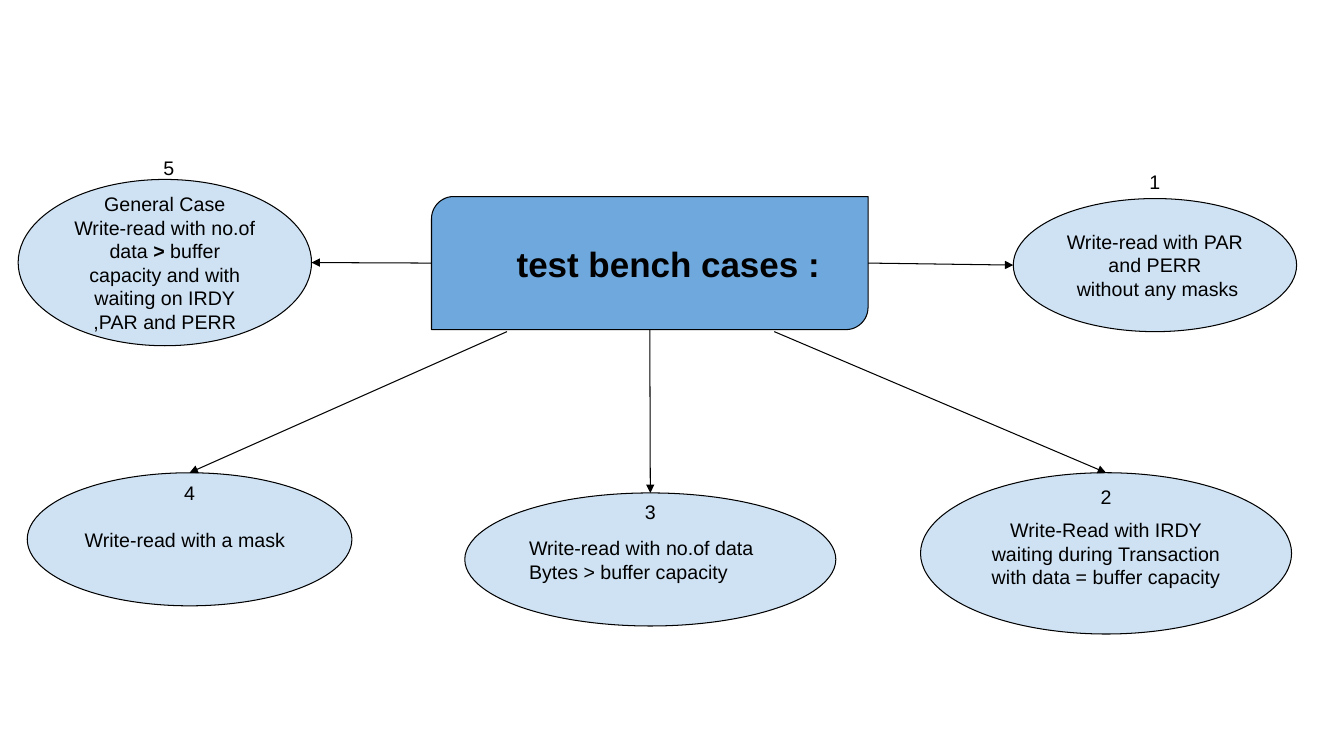
import dataclasses

import pptx
import pptx.dml.color
import pptx.enum.shapes
import pptx.enum.text
import pptx.oxml
import pptx.oxml.ns
import pptx.util

Inches = pptx.util.Inches
Pt = pptx.util.Pt
Shapes = pptx.enum.shapes.MSO_SHAPE
Align = pptx.enum.text.PP_ALIGN

FONT = "Arial"
BLACK = "000000"
HUB_BLUE = "6FA8DC"
CASE_BLUE = "CFE2F3"
LINE_WIDTH = 0.75
CASE_SIZE = 14
HUB_SIZE = 25
NUMBER_WIDTH, NUMBER_HEIGHT = 0.71, 0.34


@dataclasses.dataclass
class Box:
    left: float
    top: float
    width: float
    height: float

    def point(self, across, down):
        """Return the point at the given shares of the width and height."""
        return self.left + across * self.width, self.top + down * self.height

    def lengths(self):
        return [Inches(v) for v in (self.left, self.top, self.width, self.height)]


@dataclasses.dataclass
class Case:
    """Shares for arrow ends are (across, down); number_shift is in inches."""
    number: str
    box: Box
    paragraphs: list
    number_shift: tuple
    hub_end: tuple
    case_end: tuple
    align: int = Align.CENTER


HUB = Box(4.28, 1.95, 4.33, 1.32)
TOP_CENTRE = (0.5, 0)
CASES = [
    Case("1", Box(10.05, 1.97, 2.81, 1.32),
         [[("Write-read with PAR and PERR", False)],
          [(" without any masks", False)]],
         (0, -0.33), (1, 0.5), (0, 0.5)),
    Case("2", Box(9.13, 4.69, 3.68, 1.6),
         [[("Write-Read with IRDY waiting during Transaction "
            "with data = buffer capacity", False)]],
         (0, 0.07), (0.785, 1.015), TOP_CENTRE),
    Case("3", Box(4.61, 4.89, 3.68, 1.32),
         [[("Write-read with no.of data Bytes > buffer capacity", False)]],
         (0, 0.02), (0.5, 1), TOP_CENTRE, Align.LEFT),
    Case("4", Box(0.27, 4.69, 3.22, 1.32),
         [[("Write-read with a mask", False)]],
         (0, 0.03), (0.173, 1.015), TOP_CENTRE, Align.LEFT),
    Case("5", Box(0.18, 1.78, 2.91, 1.65),
         [[("General Case", False)],
          [("Write-read with no.of data ", False), (">", True),
           (" buffer capacity and with waiting on IRDY", False)],
          [(",PAR and PERR", False)]],
         (0.04, -0.28), (0, 0.5), (1, 0.5)),
]


def color(value):
    return pptx.dml.color.RGBColor.from_string(value)


def write(frame, paragraphs, size, align):
    frame.word_wrap = True
    for index, spans in enumerate(paragraphs):
        para = frame.add_paragraph() if index else frame.paragraphs[0]
        para.alignment = align
        for text, bold in spans:
            span = para.add_run()
            span.text = text
            span.font.name = FONT
            span.font.size = Pt(size)
            span.font.bold = bold
            span.font.color.rgb = color(BLACK)


def add_panel(page, kind, box, fill, left_margin=0.1):
    shape = page.shapes.add_shape(kind, *box.lengths())
    shape.shadow.inherit = False
    shape.fill.solid()
    shape.fill.fore_color.rgb = color(fill)
    shape.line.color.rgb = color(BLACK)
    shape.line.width = Pt(LINE_WIDTH)
    frame = shape.text_frame
    frame.vertical_anchor = pptx.enum.text.MSO_ANCHOR.MIDDLE
    frame.margin_left = Inches(left_margin)
    frame.margin_right = frame.margin_top = frame.margin_bottom = Inches(0.1)
    return shape


def add_arrow(page, start, end):
    arrow = page.shapes.add_connector(
        pptx.enum.shapes.MSO_CONNECTOR.STRAIGHT,
        *[Inches(v) for v in (*start, *end)])
    arrow.line.color.rgb = color(BLACK)
    arrow.line.width = Pt(LINE_WIDTH)
    qn = pptx.oxml.ns.qn
    head = pptx.oxml.parse_xml(
        f'<a:tailEnd {pptx.oxml.ns.nsdecls("a")} type="triangle"/>')
    properties = arrow.line._get_or_add_ln()
    properties.append(head)
    properties.getparent().append(
        properties.makeelement(qn("a:effectLst"), {}))


def add_hub(page, box):
    hub = add_panel(page, Shapes.ROUND_2_DIAG_RECTANGLE, box, HUB_BLUE, 0.78)
    hub.adjustments[0] = 0.167
    hub.adjustments[1] = 0
    write(hub.text_frame, [[("test bench cases :", True)]], HUB_SIZE, Align.LEFT)


def add_number(page, case):
    centre, top = case.box.point(*TOP_CENTRE)
    across, down = case.number_shift
    place = Box(centre - NUMBER_WIDTH / 2 + across, top + down,
                NUMBER_WIDTH, NUMBER_HEIGHT)
    label = page.shapes.add_textbox(*place.lengths())
    write(label.text_frame, [[(case.number, False)]], CASE_SIZE, Align.CENTER)


def add_case(page, case, hub):
    """Draw the oval, its number and the arrow that reaches it from the hub."""
    oval = add_panel(page, Shapes.OVAL, case.box, CASE_BLUE)
    write(oval.text_frame, case.paragraphs, CASE_SIZE, case.align)
    add_arrow(page, hub.point(*case.hub_end), case.box.point(*case.case_end))
    add_number(page, case)


def main():
    deck = pptx.Presentation()
    deck.slide_width = Inches(13.33)
    deck.slide_height = Inches(7.5)
    page = deck.slides.add_slide(deck.slide_layouts[6])
    add_hub(page, HUB)
    for case in CASES:
        add_case(page, case, HUB)
    deck.save("out.pptx")


if __name__ == "__main__":
    main()
